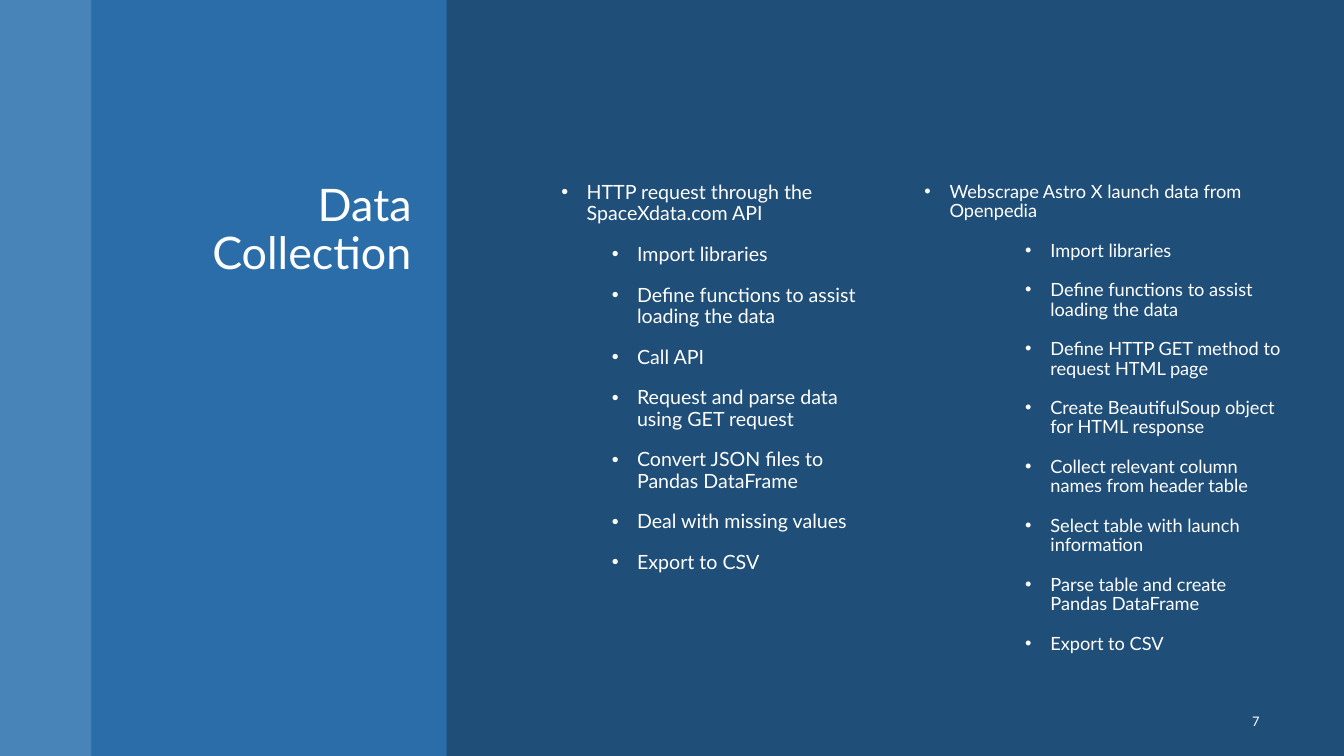
from lxml import etree
from pptx import Presentation
from pptx import util as u
from pptx.dml.color import RGBColor
from pptx.enum import shapes, text
from pptx.oxml.ns import qn

# Content: each column has a heading, its indent and level, and steps
TITLE = "Data Collection"
PAGE_NUMBER = "7"
COLUMNS = [
    {
        "left": 4.97, "size": 14, "indent": 0.75, "level": 1,
        "heading": "HTTP request through the SpaceXdata.com API",
        "steps": [
            "Import libraries",
            "Define functions to assist loading the data",
            "Call API",
            "Request and parse data using GET request",
            "Convert JSON files to Pandas DataFrame",
            "Deal with missing values",
            "Export to CSV",
        ],
    },
    {
        "left": 9.07, "size": 13, "indent": 0.25, "level": 0,
        "heading": "Webscrape Astro X launch data from Openpedia",
        "steps": [
            "Import libraries",
            "Define functions to assist loading the data",
            "Define HTTP GET method to request HTML page",
            "Create BeautifulSoup object for HTML response",
            "Collect relevant column names from header table",
            "Select table with launch information",
            "Parse table and create Pandas DataFrame",
            "Export to CSV",
        ],
    },
]

THEME = {
    "background": "1F4E79",
    "stripes": [("5B9BD5", 70, 0.91), ("2E75B6", 80, 3.52)],  # colour, opacity, width
    "text": "FFFFFF",
    "font": "Lato", "number_font": "Calibri",
    "title_size": 32, "number_size": 10.5, "step_gap": 14,
}
SLIDE_WIDTH, SLIDE_HEIGHT = 13.33, 7.5
BODY_TOP, BODY_HEIGHT = 1.76, 4.92
TITLE_LEFT, TITLE_WIDTH, COLUMN_WIDTH = 1.09, 3.09, 3.74
STEP_INDENT, STEP_LEVEL, HANGING = 1.25, 2, 0.25


def add_text_box(slide, left, width):
    box = slide.shapes.add_textbox(
        u.Inches(left), u.Inches(BODY_TOP), u.Inches(width), u.Inches(BODY_HEIGHT))
    box.text_frame.word_wrap = True
    return box.text_frame


def add_run(paragraph, words, size, font=THEME["font"]):
    run = paragraph.add_run()
    run.text = words
    run.font.name = font
    run.font.size = u.Pt(size)
    run.font.color.rgb = RGBColor.from_string(THEME["text"])


def set_bullet(paragraph, indent, level):
    paragraph.level = level
    properties = paragraph._p.get_or_add_pPr()
    properties.set("marL", str(u.Inches(indent)))
    properties.set("indent", str(-u.Inches(HANGING)))
    etree.SubElement(properties, qn("a:buFont"), typeface="Arial")
    etree.SubElement(properties, qn("a:buChar"), char="•")


def add_stripe(slide, left, width, colour, opacity):
    stripe = slide.shapes.add_shape(
        shapes.MSO_SHAPE.RECTANGLE, u.Inches(left), 0, u.Inches(width), u.Inches(SLIDE_HEIGHT))
    stripe.shadow.inherit = False
    stripe.line.fill.background()
    stripe.fill.solid()
    stripe.fill.fore_color.rgb = RGBColor.from_string(colour)
    fill_colour = stripe._element.spPr.find(qn("a:solidFill"))[0]
    etree.SubElement(fill_colour, qn("a:alpha"), val=str(opacity * 1000))


def add_column(slide, column):
    frame = add_text_box(slide, column["left"], COLUMN_WIDTH)
    entries = [(column["heading"], column["indent"], column["level"])]
    entries += [(step, STEP_INDENT, STEP_LEVEL) for step in column["steps"]]
    for index, (words, indent, level) in enumerate(entries):
        paragraph = frame.add_paragraph() if index else frame.paragraphs[0]
        set_bullet(paragraph, indent, level)
        paragraph.line_spacing = 0.9
        if index:
            paragraph.space_before = u.Pt(THEME["step_gap"])
        add_run(paragraph, words, column["size"])


def main():
    presentation = Presentation()
    presentation.slide_width = u.Inches(SLIDE_WIDTH)
    presentation.slide_height = u.Inches(SLIDE_HEIGHT)
    slide = presentation.slides.add_slide(presentation.slide_layouts[6])
    slide.background.fill.solid()
    slide.background.fill.fore_color.rgb = RGBColor.from_string(THEME["background"])

    # Side stripes, placed edge to edge
    left = 0
    for colour, opacity, width in THEME["stripes"]:
        add_stripe(slide, left, width, colour, opacity)
        left += width

    # Title
    title = add_text_box(slide, TITLE_LEFT, TITLE_WIDTH).paragraphs[0]
    title.alignment = text.PP_ALIGN.RIGHT
    title.line_spacing = 0.9
    add_run(title, TITLE, THEME["title_size"])

    # Bulleted columns
    for column in COLUMNS:
        add_column(slide, column)

    # Page number in an unfilled ellipse
    badge = slide.shapes.add_shape(
        shapes.MSO_SHAPE.OVAL, u.Inches(11.32), u.Inches(6.95), u.Inches(1.49), u.Inches(0.4))
    badge.shadow.inherit = False
    badge.fill.background()
    badge.line.fill.background()
    badge.text_frame.vertical_anchor = text.MSO_ANCHOR.MIDDLE
    number = badge.text_frame.paragraphs[0]
    number.alignment = text.PP_ALIGN.RIGHT
    add_run(number, PAGE_NUMBER, THEME["number_size"], THEME["number_font"])

    presentation.save("out.pptx")


if __name__ == "__main__":
    main()
